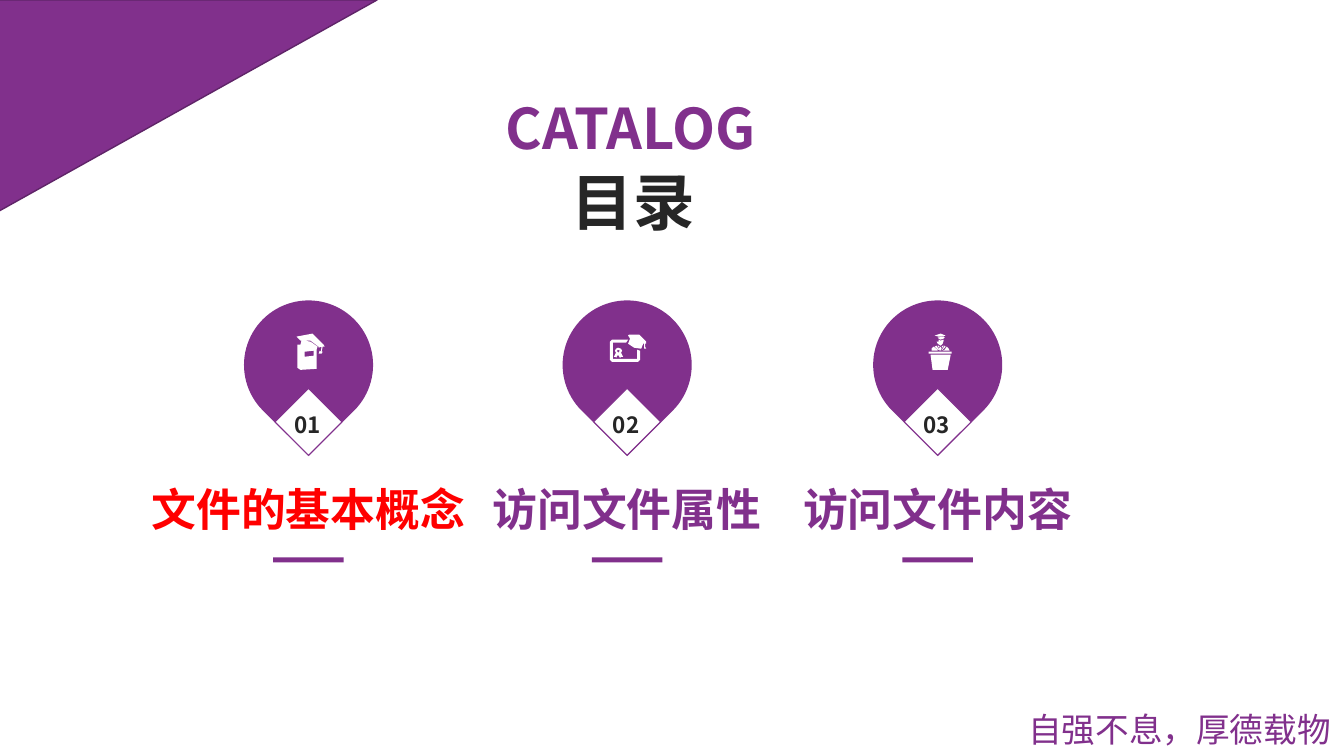
from pptx import Presentation
from pptx.dml.color import RGBColor
from pptx.enum.shapes import MSO_SHAPE
from pptx.enum.text import MSO_ANCHOR, MSO_AUTO_SIZE, PP_ALIGN
from pptx.oxml.ns import qn
from pptx.util import Inches, Pt

RECT, TEAR, RT_TRIANGLE = MSO_SHAPE.RECTANGLE, MSO_SHAPE.TEAR, MSO_SHAPE.RIGHT_TRIANGLE
LEFT, CENTER = PP_ALIGN.LEFT, PP_ALIGN.CENTER
FONT = "Noto Sans CJK SC"
COLORS = {"purple": "81308C", "edge": "5F2468", "dark": "262626",
          "red": "FF0000", "white": "FFFFFF"}

# Icon outlines, in hundredths of an inch from the pin's top centre
BOOK_ICON = [
    [(-11, 44), (-7, 44), (1, 46), (8, 49), (8, 68), (-8, 69), (-11, 67)],
    [(5, 50), (-4, 51), (-4, 56), (5, 55)],
    [(-4, 40), (2, 41), (9, 46), (8, 49), (1, 46), (-8, 44), (-7, 40)],
    [(4, 33), (13, 42), (15, 44), (16, 46), (14, 46), (13, 51), (14, 51), (13, 53),
     (10, 53), (11, 50), (12, 51), (13, 46), (10, 47), (10, 46), (2, 40), (-8, 40),
     (-12, 36)],
]
DIPLOMA_ICON = [
    [(-15, 39), (1, 39), (-1, 42), (-14, 42), (-14, 58), (10, 58), (10, 49), (13, 50),
     (13, 59), (11, 61), (-15, 61), (-17, 59), (-17, 41)],
    [(-9, 47), (-6, 48), (-5, 50), (-6, 52), (-4, 56), (-6, 56), (-7, 57), (-9, 54),
     (-11, 57), (-11, 56), (-13, 56), (-11, 52), (-12, 50), (-11, 48)],
    [(-9, 49), (-10, 50), (-9, 52), (-7, 50)],
    [(2, 34), (12, 34), (19, 41), (19, 43), (18, 43), (18, 46), (19, 48), (17, 48),
     (17, 43), (16, 43), (14, 48), (7, 47), (1, 43), (3, 38), (1, 35)],
]
SPEAKER_ICON = [
    [(-7, 54), (13, 54), (10, 69), (-5, 69)],
    [(-9, 51), (14, 51), (14, 53), (-9, 53)],
    [(-4, 46), (0, 49), (0, 50), (-6, 50), (-6, 48)],
    [(9, 46), (11, 48), (12, 50), (5, 50), (7, 49)],
    [(-1, 45), (2, 50), (-3, 46)],
    [(7, 45), (8, 46), (4, 50), (5, 48)],
    [(3, 46), (4, 48), (3, 50), (1, 48)],
    [(0, 45), (1, 45), (2, 46), (1, 47)],
    [(6, 45), (5, 47), (4, 46), (5, 45)],
    [(-1, 41), (1, 41), (1, 39), (3, 40), (6, 39), (6, 40), (5, 43), (3, 45), (0, 43)],
    [(0, 37), (6, 36), (7, 37), (6, 38), (3, 39), (1, 38)],
    [(3, 33), (8, 35), (3, 36), (1, 36), (-3, 35)],
]

# Number, label, label colour, centre x, icon
CHAPTERS = [
    ("01", "文件的基本概念", "red", 3.06, BOOK_ICON),
    ("02", "访问文件属性", "purple", 6.22, DIPLOMA_ICON),
    ("03", "访问文件内容", "purple", 9.3, SPEAKER_ICON),
]
PIN_TOP, PIN_SIZE = 2.98, 1.28
DIAMOND_TOP, DIAMOND_SIZE = 3.95, 0.47
BAR_WIDTH, LABEL_WIDTH = 0.7, 3.34


def rgb(name):
    return RGBColor.from_string(COLORS[name])


def paint(sp, fill, line=None, width=0.75):
    sp.shadow.inherit = False
    sp.fill.solid()
    sp.fill.fore_color.rgb = rgb(fill)
    if line:
        sp.line.color.rgb = rgb(line)
        sp.line.width = Pt(width)
    else:
        sp.line.fill.background()


def add_block(shapes, kind, box, fill, line=None, width=0.75, rotation=0):
    sp = shapes.add_shape(kind, *map(Inches, box))
    sp.rotation = rotation
    paint(sp, fill, line, width)


def write(sp, text, size, color, bold=True, align=LEFT, wrap=True):
    tf = sp.text_frame
    for name, value in {"word_wrap": wrap, "auto_size": MSO_AUTO_SIZE.NONE,
                        "vertical_anchor": MSO_ANCHOR.TOP}.items():
        setattr(tf, name, value)
    p = tf.paragraphs[0]
    p.alignment = align
    r = p.add_run()
    r.text = text
    for name, value in {"name": FONT, "size": Pt(size), "bold": bold}.items():
        setattr(r.font, name, value)
    r.font.color.rgb = rgb(color)
    ea = r._r.get_or_add_rPr().makeelement(qn("a:ea"), {"typeface": FONT})
    r.font._element.find(qn("a:latin")).addnext(ea)


def add_text(shapes, box, *args, **formats):
    write(shapes.add_textbox(*map(Inches, box)), *args, **formats)


def add_icon(shapes, outlines, center):
    first, *rest = outlines
    builder = shapes.build_freeform(*first[0], scale=Inches(0.01))
    builder.add_line_segments(first[1:], close=True)
    for outline in rest:
        builder.move_to(*outline[0])
        builder.add_line_segments(outline[1:], close=True)
    paint(builder.convert_to_shape(Inches(center), Inches(PIN_TOP)), "white")


prs = Presentation()
prs.slide_width, prs.slide_height = Inches(13.33), Inches(7.5)
slide = prs.slides.add_slide(prs.slide_layouts[5])
shapes = slide.shapes

# Corner and motto
add_block(shapes, RT_TRIANGLE, (0.81, -0.83, 2.1, 3.76), "purple", "edge", 1, 90)
add_text(shapes, (10.1, 6.98, 3.24, 0.5), "自强不息，厚德载物", 24, "purple", bold=False)

# Heading
title = shapes.title
for name, value in {"left": 5.57, "top": 1.58, "width": 1.44, "height": 0.84}.items():
    setattr(title, name, Inches(value))
write(title, "目录", 44, "dark")
add_text(shapes, (4.92, 0.88, 2.87, 0.77), "CATALOG", 40, "purple")

# Chapters: pin, label and bar share one centre line
for number, label, color, center, icon in CHAPTERS:
    pin = shapes.add_group_shape().shapes
    add_block(pin, TEAR, (center - PIN_SIZE / 2, PIN_TOP, PIN_SIZE, PIN_SIZE),
              "purple", rotation=135)
    add_block(pin, RECT, (center - DIAMOND_SIZE / 2, DIAMOND_TOP, DIAMOND_SIZE, DIAMOND_SIZE),
              "white", "purple", rotation=45)
    add_icon(pin, icon, center)
    add_text(pin, (center - 0.24, 4.03, 0.48, 0.37), number, 16, "dark")
    add_text(shapes, (center - LABEL_WIDTH / 2, 4.73, LABEL_WIDTH, 0.64), label, 32, color,
             align=CENTER, wrap=False)
    add_block(shapes, RECT, (center - BAR_WIDTH / 2, 5.53, BAR_WIDTH, 0.05), "purple")

prs.save("out.pptx")
